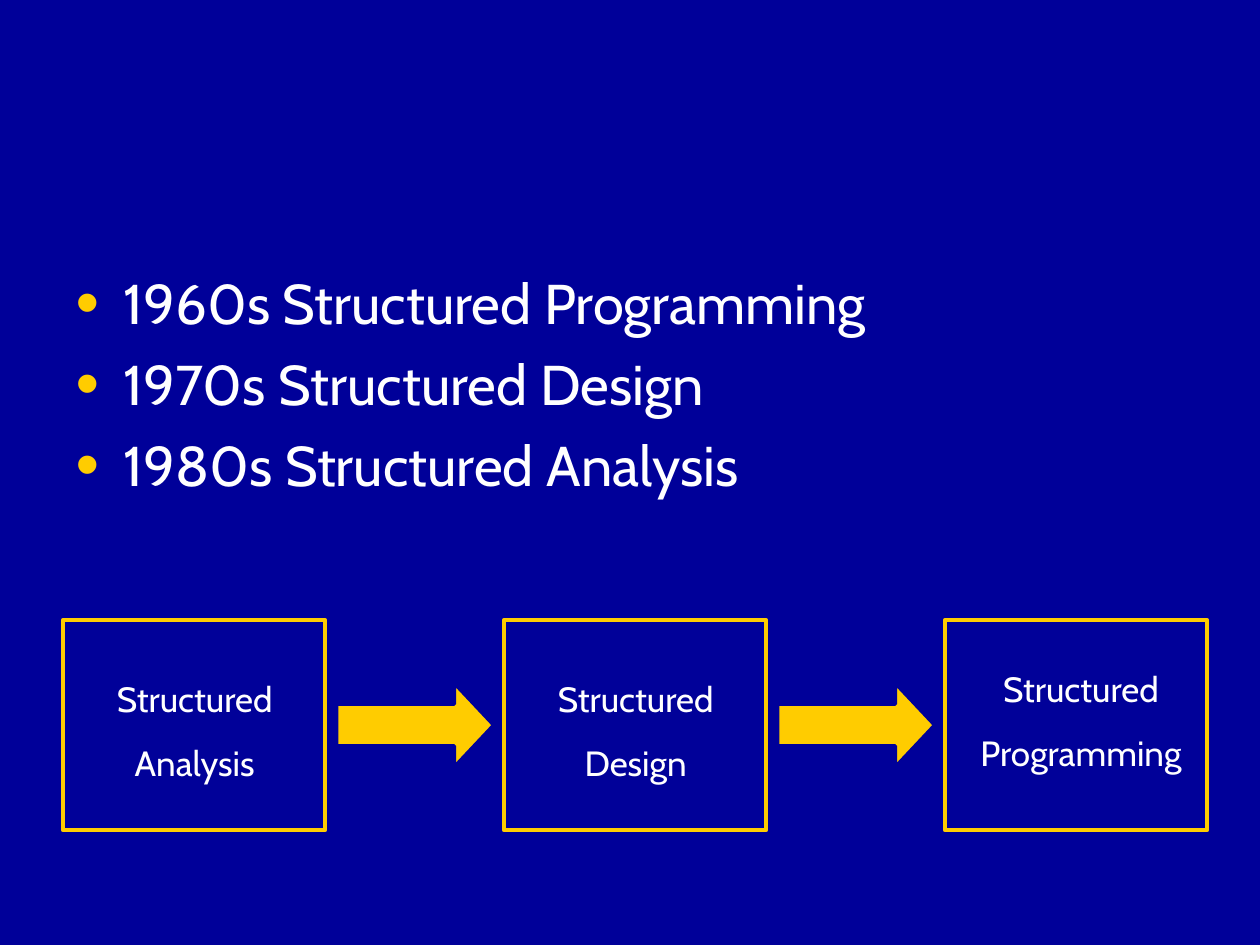
from lxml import etree
from pptx import Presentation
from pptx.dml.color import RGBColor
from pptx.enum.shapes import MSO_SHAPE as Preset
from pptx.enum.text import MSO_ANCHOR as Anchor, MSO_AUTO_SIZE as AutoSize, PP_ALIGN as Align
from pptx.oxml.ns import qn
from pptx.util import Inches, Pt

NAVY, BOX_BLUE, GOLD, WHITE = "000099", "010199", "FFCC00", "FFFFFF"
FONT = "Cabin"
DECADES = ["1960s Structured Programming", "1970s Structured Design",
           "1980s Structured Analysis"]
# Stage words, then the label's offset in its box and its size
STAGES = [("Analysis", (0.17, 0.41, 1.75, 0.94)),
          ("Design", (0.17, 0.41, 1.75, 0.94)),
          ("Programming", (0.08, 0.33, 2, 1.28))]


def color(hex_value):
    """Turn a hex string into a colour."""
    return RGBColor.from_string(hex_value)


def set_all(target, values):
    """Set every attribute named in a dict of format values."""
    for name, value in values.items():
        setattr(target, name, value)


def write_lines(frame, lines, size, paragraph_format):
    """Write one paragraph per line in the slide's font."""
    set_all(frame, {"word_wrap": True, "vertical_anchor": Anchor.TOP})
    for index, line in enumerate(lines):
        paragraph = frame.paragraphs[0] if index == 0 else frame.add_paragraph()
        set_all(paragraph, paragraph_format)
        run = paragraph.add_run()
        run.text = line
        set_all(run.font, {"name": FONT, "size": Pt(size)})
        run.font.color.rgb = color(WHITE)


def add_bullet(paragraph):
    """Give a paragraph a gold round bullet with a hanging indent."""
    props = paragraph._p.get_or_add_pPr()
    props.set("marL", str(Inches(0.38)))
    props.set("indent", str(Inches(-0.38)))
    bullet_color = etree.SubElement(props, qn("a:buClr"))
    etree.SubElement(bullet_color, qn("a:srgbClr"), val=GOLD)
    etree.SubElement(props, qn("a:buSzPct"), val="120000")
    etree.SubElement(props, qn("a:buFont"), typeface="Arial")
    etree.SubElement(props, qn("a:buChar"), char="•")


def fill_decades(body, left, top, width, height):
    """Place the list of decades in the body placeholder."""
    set_all(body, {"left": Inches(left), "top": Inches(top),
                   "width": Inches(width), "height": Inches(height)})
    body.text_frame.auto_size = AutoSize.NONE
    write_lines(body.text_frame, DECADES, 32, {"space_before": Pt(8)})
    for paragraph in body.text_frame.paragraphs:
        add_bullet(paragraph)


def add_block(slide, preset, box, fill, outline):
    """Add a flat preset shape with a fill and an outline."""
    block = slide.shapes.add_shape(preset, *map(Inches, box))
    block.shadow.inherit = False
    block.fill.solid()
    block.fill.fore_color.rgb = color(fill)
    block.line.color.rgb = color(outline)
    block.line.width = Pt(2.24)
    return block


def add_stage(slide, left, top, word, label_box):
    """Add one outlined stage box with its two-line label."""
    add_block(slide, Preset.RECTANGLE, (left, top, 2.08, 1.67), BOX_BLUE, GOLD)
    dx, dy, width, height = label_box
    label = slide.shapes.add_textbox(
        *map(Inches, (left + dx, top + dy, width, height)))
    label.text_frame.auto_size = AutoSize.SHAPE_TO_FIT_TEXT
    write_lines(label.text_frame, ["Structured", word], 20,
                {"alignment": Align.CENTER, "space_before": Pt(12.5)})


def add_flow(slide, left, top, pitch):
    """Add the row of stages with an arrow between neighbours."""
    for index, (word, label_box) in enumerate(STAGES):
        stage_left = left + index * pitch
        add_stage(slide, stage_left, top, word, label_box)
        if index < len(STAGES) - 1:
            arrow = add_block(slide, Preset.RIGHT_ARROW,
                              (stage_left + 2.17, top + 0.5, 1.25, 0.67), GOLD, NAVY)
            arrow.adjustments[0], arrow.adjustments[1] = 0.5, 0.47


def build():
    """Build and save the slide."""
    deck = Presentation()
    set_all(deck, {"slide_width": Inches(10), "slide_height": Inches(7.5)})
    slide = deck.slides.add_slide(deck.slide_layouts[1])
    slide.background.fill.solid()
    slide.background.fill.fore_color.rgb = color(NAVY)
    title = slide.shapes.title.element
    title.getparent().remove(title)
    fill_decades(slide.placeholders[1], 0.5, 2.08, 9, 2.5)
    add_flow(slide, 0.5, 4.92, 3.5)
    deck.save("out.pptx")


build()
